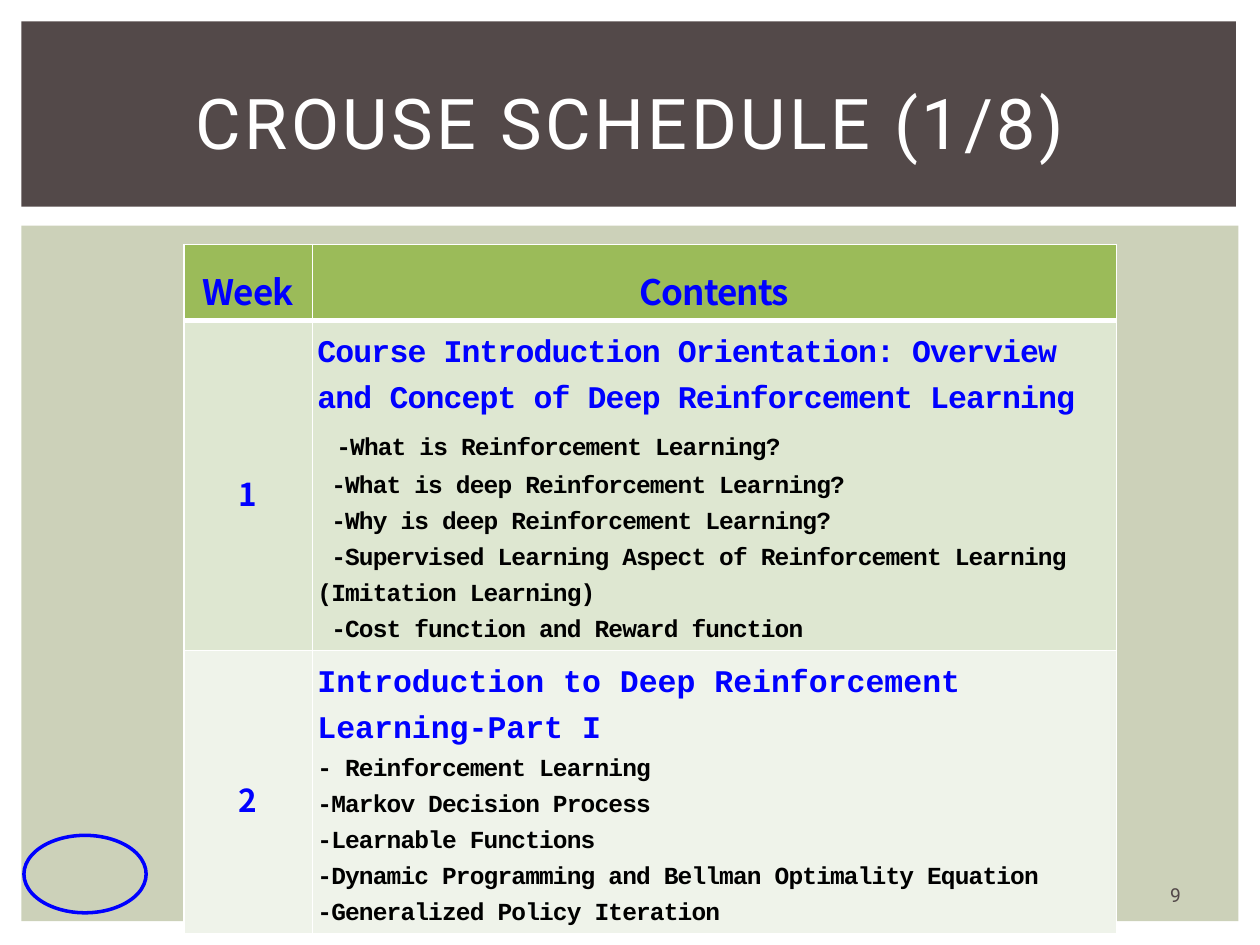
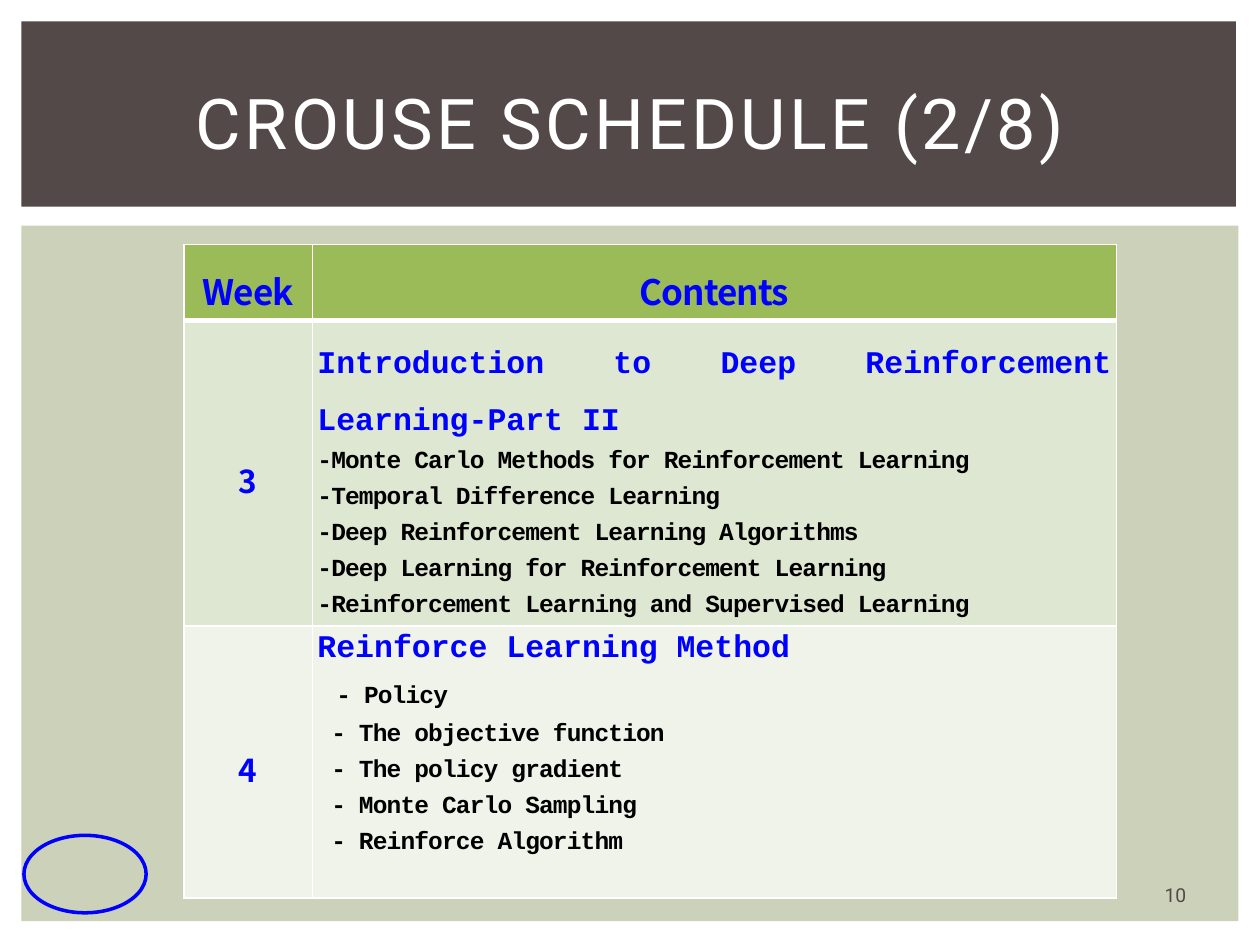
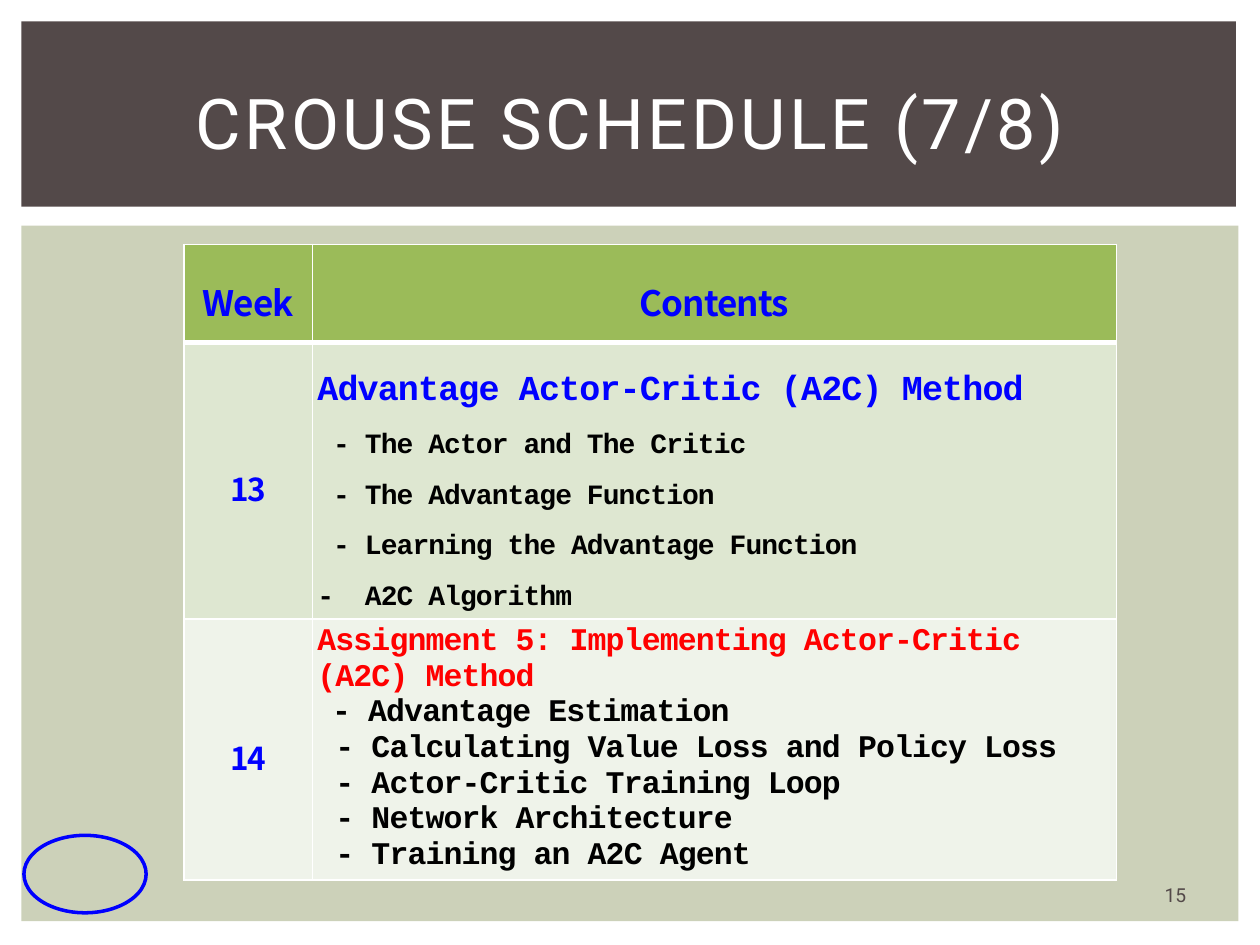
from dataclasses import dataclass

from lxml import etree
from pptx import Presentation
from pptx import util as u
from pptx.dml.color import RGBColor
from pptx.enum import shapes, text
from pptx.oxml import ns

# Shared look
WHITE = RGBColor(0xFF, 0xFF, 0xFF)
BLACK = RGBColor(0x00, 0x00, 0x00)
BLUE = RGBColor(0x00, 0x00, 0xFF)
RED = RGBColor(0xFF, 0x00, 0x00)
BROWN = RGBColor(0x53, 0x49, 0x49)
SAGE = RGBColor(0xCC, 0xD1, 0xB9)
HEADER_GREEN = RGBColor(0x9B, 0xBB, 0x59)
ROW_FILLS = (RGBColor(0xDE, 0xE7, 0xD1), RGBColor(0xEF, 0xF3, 0xEA))
SANS, MONO, LABEL = "Roboto", "Courier New", "Noto Sans CJK KR"
SLIDE_WIDTH, SLIDE_HEIGHT = u.Inches(10), u.Inches(7.5)
CELL_MARGIN = u.Inches(0.04)
THIN, THICK = 1, 3
CENTER, LEFT, JUSTIFY = text.PP_ALIGN.CENTER, text.PP_ALIGN.LEFT, text.PP_ALIGN.JUSTIFY


def across(percent: float) -> int:
    return round(SLIDE_WIDTH * percent / 100)


def down(percent: float) -> int:
    return round(SLIDE_HEIGHT * percent / 100)


@dataclass(frozen=True)
class Area:
    """A rectangle in percent of the slide's width and height."""
    left: float
    top: float
    width: float
    height: float

    def box(self) -> tuple[int, int, int, int]:
        return across(self.left), down(self.top), across(self.width), down(self.height)


@dataclass(frozen=True)
class Style:
    font: str
    size: float
    color: RGBColor
    bold: bool = False
    tracking: float = 0


@dataclass(frozen=True)
class Week:
    number: int
    heading: str
    points: tuple[str, ...]
    height: float
    heading_size: int = 18
    heading_color: RGBColor = BLUE
    heading_tracking: float = -0.5
    heading_spacing: float = 1.3
    heading_align: text.PP_ALIGN = LEFT
    point_size: int = 14
    point_spacing: float = 1.3
    point_align: text.PP_ALIGN = LEFT
    lead_size: int = 0  # size of the space that opens the first point


@dataclass(frozen=True)
class Schedule:
    section: int
    page_number: int
    header_height: float
    weeks: tuple[Week, ...]


BODY_BAND = Area(1.7, 23.87, 96.6, 73.6)
TITLE_BAND = Area(1.7, 2.27, 96.4, 19.6)
TITLE = Area(4.2, 5.2, 91.7, 15.33)
PAGE_NUMBER = Area(90.1, 92.67, 6.4, 4)
EMBLEM = Area(1.9, 88.4, 9.7, 8.2)
TABLE = Area(14.6, 25.87, 74, 65)
COLUMNS = (10.2, 63.8)

TITLE_STYLE = Style(SANS, 40, WHITE, tracking=2)
NUMBER_STYLE = Style(SANS, 11, BROWN)
HEADER_STYLE = Style(LABEL, 20, BLUE, True, -0.5)
WEEK_STYLE = Style(LABEL, 18, BLUE, True, -0.5)

# Course content
SCHEDULES = (
    Schedule(1, 9, 7.9, (
        Week(1, "Course Introduction Orientation: Overview and Concept of "
                "Deep Reinforcement Learning",
             (" -What is Reinforcement Learning?",
              " -What is deep Reinforcement Learning?",
              " -Why is deep Reinforcement Learning?",
              " -Supervised Learning Aspect of Reinforcement Learning (Imitation Learning)",
              " -Cost function and Reward function"),
             34.9, lead_size=18),
        Week(2, "Introduction to Deep Reinforcement Learning-Part I",
             ("- Reinforcement Learning",
              "-Markov Decision Process",
              "-Learnable Functions",
              "-Dynamic Programming and Bellman Optimality Equation",
              "-Generalized Policy Iteration"),
             29.8, heading_tracking=0),
    )),
    Schedule(2, 10, 7.9, (
        Week(3, "Introduction to Deep Reinforcement Learning-Part II",
             ("-Monte Carlo Methods for Reinforcement Learning",
              "-Temporal Difference Learning",
              "-Deep Reinforcement Learning Algorithms",
              "-Deep Learning for Reinforcement Learning",
              "-Reinforcement Learning and Supervised Learning"),
             32.3, heading_tracking=0, heading_spacing=1.6, heading_align=JUSTIFY),
        Week(4, "Reinforce Learning Method",
             (" - Policy",
              " - The objective function",
              " - The policy gradient",
              " - Monte Carlo Sampling",
              " - Reinforce Algorithm"),
             28.8, heading_tracking=0, heading_spacing=1, lead_size=18),
    )),
    Schedule(7, 15, 10.4, (
        Week(13, "Advantage Actor-Critic (A2C) Method",
             (" - The Actor and The Critic",
              " - The Advantage Function",
              " - Learning the Advantage Function",
              "-  A2C Algorithm"),
             29.1, heading_size=20, heading_spacing=1.6, heading_align=JUSTIFY,
             point_size=16, point_spacing=1.6, point_align=JUSTIFY),
        Week(14, "Assignment 5: Implementing Actor-Critic (A2C) Method",
             (" - Advantage Estimation",
              " - Calculating Value Loss and Policy Loss",
              " - Actor-Critic Training Loop",
              " - Network Architecture",
              " - Training an A2C Agent"),
             27.6, heading_color=RED, heading_spacing=1,
             point_size=18, point_spacing=1, lead_size=14),
    )),
)


# Text
def add_span(para, words: str, style: Style, size: float = 0) -> None:
    span = para.add_run()
    span.text = words
    font = span.font
    font.name, font.size, font.bold = style.font, u.Pt(size or style.size), style.bold
    font.color.rgb = style.color
    font._element.set("spc", str(round(style.tracking * 100)))


def write(para, words: str, style: Style, align=CENTER, spacing: float = 1,
          lead_size: int = 0) -> None:
    para.alignment, para.line_spacing = align, spacing
    if lead_size:
        add_span(para, words[:1], style, lead_size)
        words = words[1:]
    add_span(para, words, style)


# Page frame
def add_band(page, area: Area, color: RGBColor):
    band = page.shapes.add_shape(shapes.MSO_SHAPE.RECTANGLE, *area.box())
    band.shadow.inherit = False
    band.fill.solid()
    band.fill.fore_color.rgb = color
    band.line.fill.background()
    return band


def add_emblem(page) -> None:
    emblem = page.shapes.add_shape(shapes.MSO_SHAPE.OVAL, *EMBLEM.box())
    emblem.shadow.inherit = False
    emblem.fill.background()
    emblem.line.color.rgb = BLUE
    emblem.line.width = u.Pt(2)


def add_frame(page, schedule: Schedule) -> None:
    add_band(page, BODY_BAND, SAGE)
    title_band = add_band(page, TITLE_BAND, BROWN)
    add_emblem(page)

    title = page.shapes.title
    title_band.element.addnext(title.element)  # keep the title above its band
    title.left, title.top, title.width, title.height = TITLE.box()
    number = page.shapes.add_textbox(*PAGE_NUMBER.box())
    for box, words, style in (
        (title, f"CROUSE SCHEDULE ({schedule.section}/8)", TITLE_STYLE),
        (number, str(schedule.page_number), NUMBER_STYLE),
    ):
        frame = box.text_frame
        frame.word_wrap, frame.auto_size = True, text.MSO_AUTO_SIZE.NONE
        frame.vertical_anchor = text.MSO_ANCHOR.MIDDLE
        write(frame.paragraphs[0], words, style)


# Schedule table
def set_borders(cell, top: float, bottom: float) -> None:
    properties = cell._tc.get_or_add_tcPr()
    sides = (("lnL", THIN), ("lnR", THIN), ("lnT", top), ("lnB", bottom))
    for position, (side, width) in enumerate(sides):
        line = etree.Element(ns.qn(f"a:{side}"), w=str(u.Pt(width)))
        fill = etree.SubElement(line, ns.qn("a:solidFill"))
        etree.SubElement(fill, ns.qn("a:srgbClr"), val=str(WHITE))
        properties.insert(position, line)


def format_cell(cell, color: RGBColor, top: float, bottom: float, anchor) -> None:
    cell.margin_left = cell.margin_right = CELL_MARGIN
    cell.margin_top = cell.margin_bottom = CELL_MARGIN
    cell.vertical_anchor = anchor
    cell.fill.solid()
    cell.fill.fore_color.rgb = color
    set_borders(cell, top, bottom)


def fill_contents(frame, week: Week) -> None:
    heading = Style(MONO, week.heading_size, week.heading_color, True, week.heading_tracking)
    point = Style(MONO, week.point_size, BLACK, True, -0.5)
    write(frame.paragraphs[0], week.heading, heading, week.heading_align, week.heading_spacing)
    for index, words in enumerate(week.points):
        write(frame.add_paragraph(), words, point, week.point_align, week.point_spacing,
              week.lead_size if index == 0 else 0)


def add_schedule(page, schedule: Schedule) -> None:
    weeks = schedule.weeks
    table = page.shapes.add_table(len(weeks) + 1, len(COLUMNS), *TABLE.box()).table
    table.horz_banding = False
    for column, width in zip(table.columns, COLUMNS):
        column.width = across(width)
    heights = (schedule.header_height, *(week.height for week in weeks))
    for row, height in zip(table.rows, heights):
        row.height = down(height)

    middle = text.MSO_ANCHOR.MIDDLE
    for cell, words in zip(table.rows[0].cells, ("Week", "Contents")):
        format_cell(cell, HEADER_GREEN, THIN, THICK, middle)
        write(cell.text_frame.paragraphs[0], words, HEADER_STYLE, spacing=1.3)
    for index, (week, color) in enumerate(zip(weeks, ROW_FILLS), start=1):
        top = THICK if index == 1 else THIN
        number, contents = table.rows[index].cells
        format_cell(number, color, top, THIN, middle)
        write(number.text_frame.paragraphs[0], str(week.number), WEEK_STYLE, spacing=1.3)
        format_cell(contents, color, top, THIN, text.MSO_ANCHOR.TOP)
        fill_contents(contents.text_frame, week)


def main() -> None:
    deck = Presentation()
    deck.slide_width, deck.slide_height = SLIDE_WIDTH, SLIDE_HEIGHT
    title_only = deck.slide_layouts.get_by_name("Title Only")
    for schedule in SCHEDULES:
        page = deck.slides.add_slide(title_only)
        add_frame(page, schedule)
        add_schedule(page, schedule)
    deck.save("out.pptx")


if __name__ == "__main__":
    main()
